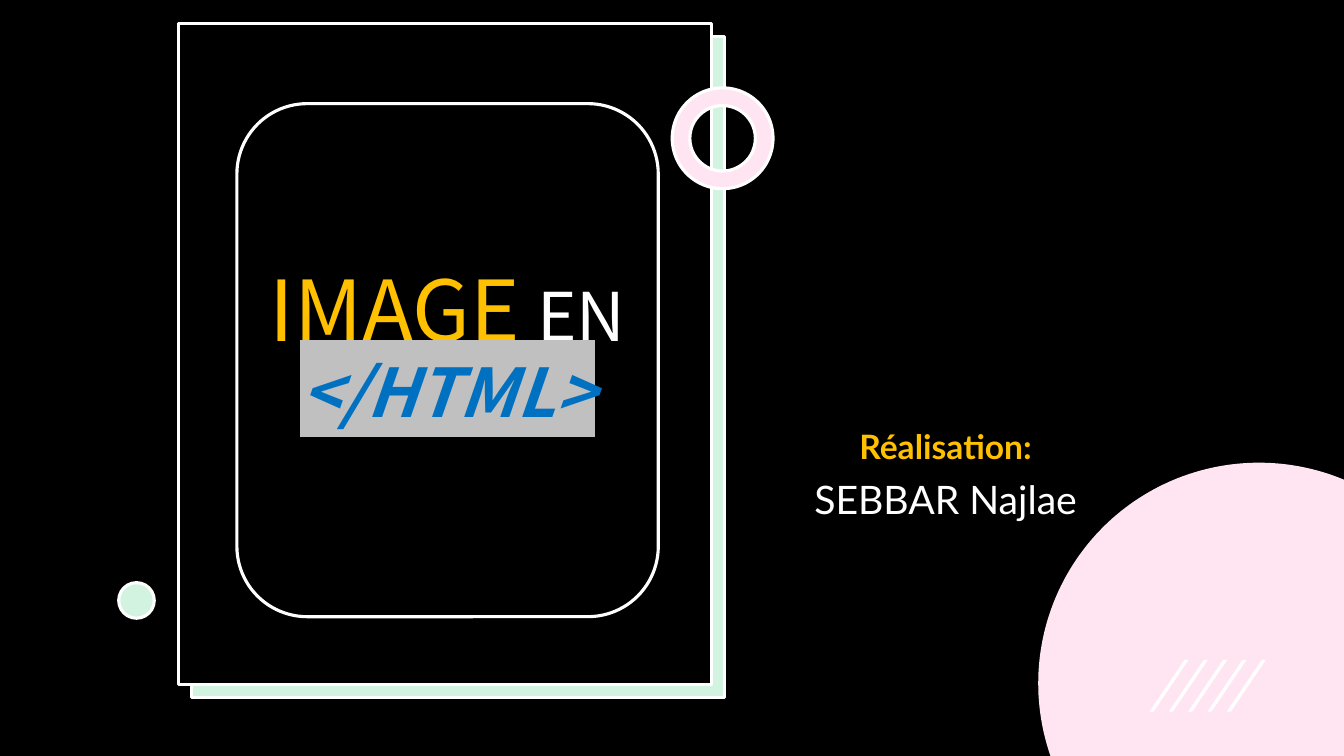
"""Builds the opening slide of a lesson on images in HTML."""
import math
from lxml import etree
from pptx import Presentation, util as u
from pptx.dml.color import RGBColor
from pptx.enum import shapes, text
from pptx.oxml.ns import qn

COLORS = {"black": "000000", "white": "FFFFFF", "mint": "D3F3E1", "pink": "FFE5F1",
          "gold": "FFC000", "blue": "0070C0", "silver": "C0C0C0"}
TITLE_FONT, BODY_FONT = "Noto Sans CJK JP", "Lato"
TITLE = [[("IMAGE", "gold", {"size": 60}),
          (" ", "white", {"size": 54}),
          ("EN", "white", {"size": 48}),
          (" ", "white", {"size": 54}),
          ("</HTML>", "blue", {"size": 48, "bold": True, "italic": True})]]
AUTHOR = [[("Réalisation:", "gold", {"size": 24, "bold": True})],
          [("SEBBAR Najlae", "white", {"size": 28})]]
TITLE_BOX = (169.2, 40.3, 301, 420.5)
AUTHOR_BOX = (542.9, 253.4, 265, 174.2)
BACK_SHAPES = [("RECTANGLE", (136.8, 25.9, 381, 472.3), "mint"),
               ("RECTANGLE", (127.4, 16.6, 381, 472.3), "black")]
FRONT_SHAPES = [("DONUT", (480.2, 62.8, 72, 72), "pink", 0.175),
                ("OVAL", (84.8, 416.2, 25.4, 25.4), "mint"),
                ("ROUNDED_RECTANGLE", (169.2, 74, 301, 366.5), None, 0.167)]
SLIDE_W, SLIDE_H = 960, 540
DISC_X, DISC_Y, DISC_R = 899.3, 488.2, 157.7
STRIPES, STRIPE_X, STRIPE_STEP = 5, 821.1, 13.8
STRIPE_TOP, STRIPE_BOTTOM, STRIPE_W, STRIPE_SHIFT = 471.4, 508.3, 2.9, 25


def rgb(name):
    return RGBColor.from_string(COLORS[name])


def add_outlined(s, kind, box, color, adj=None):
    sp = s.shapes.add_shape(getattr(shapes.MSO_SHAPE, kind), *map(u.Pt, box))
    sp.shadow.inherit = False
    if adj:
        sp.adjustments[0] = adj
    if color:
        sp.fill.solid()
        sp.fill.fore_color.rgb = rgb(color)
    else:
        sp.fill.background()
    sp.line.color.rgb = rgb("white")
    sp.line.width = u.Pt(2.25)


def add_polygon(s, points, color):
    points = [(u.Pt(x), u.Pt(y)) for x, y in points]
    builder = s.shapes.build_freeform(*points[0])
    builder.add_line_segments(points[1:], close=True)
    sp = builder.convert_to_shape()
    sp.shadow.inherit = False
    sp.fill.solid()
    sp.fill.fore_color.rgb = rgb(color)
    sp.line.fill.background()


def write(sp, box, paragraphs, font):
    for name, value in zip(("left", "top", "width", "height"), box):
        setattr(sp, name, u.Pt(value))
    tf = sp.text_frame
    for name, value in {"word_wrap": True, "auto_size": text.MSO_AUTO_SIZE.NONE,
                        "vertical_anchor": text.MSO_ANCHOR.MIDDLE}.items():
        setattr(tf, name, value)
    for i, runs in enumerate(paragraphs):
        p = tf.add_paragraph() if i else tf.paragraphs[0]
        for name, value in {"alignment": text.PP_ALIGN.CENTER, "line_spacing": 0.9,
                            "space_before": u.Pt(10 if i else 0)}.items():
            setattr(p, name, value)
        for words, color, style in runs:
            r = p.add_run()
            r.text = words
            r.font.color.rgb = rgb(color)
            for name, value in {"name": font, **style, "size": u.Pt(style["size"])}.items():
                setattr(r.font, name, value)
    return r


def highlight(r, color):
    mark = etree.Element(qn("a:highlight"))
    etree.SubElement(mark, qn("a:srgbClr"), val=COLORS[color])
    r.font._element.find(qn("a:solidFill")).addnext(mark)


def disc_points(steps=90):
    start = math.pi - math.asin((SLIDE_H - DISC_Y) / DISC_R)
    end = 2 * math.pi - math.acos((SLIDE_W - DISC_X) / DISC_R)
    angles = [start + (end - start) * i / steps for i in range(steps + 1)]
    arc = [(DISC_X + DISC_R * math.cos(a), DISC_Y + DISC_R * math.sin(a)) for a in angles]
    return arc + [(SLIDE_W, SLIDE_H)]


def main():
    prs = Presentation()
    prs.slide_width, prs.slide_height = u.Pt(SLIDE_W), u.Pt(SLIDE_H)
    s = prs.slides.add_slide(prs.slide_layouts[5])
    s.background.fill.solid()
    s.background.fill.fore_color.rgb = rgb("black")

    for item in BACK_SHAPES:
        add_outlined(s, *item)
    title = s.shapes.title
    s.shapes._spTree.append(title._element)
    highlight(write(title, TITLE_BOX, TITLE, TITLE_FONT), "silver")

    add_polygon(s, disc_points(), "pink")
    for i in range(STRIPES):
        x = STRIPE_X + i * STRIPE_STEP
        top = x + STRIPE_SHIFT
        add_polygon(s, [(x + STRIPE_W, STRIPE_BOTTOM), (x, STRIPE_BOTTOM),
                        (top, STRIPE_TOP), (top + STRIPE_W, STRIPE_TOP)], "white")

    author = s.shapes.add_textbox(*map(u.Pt, AUTHOR_BOX))
    write(author, AUTHOR_BOX, AUTHOR, BODY_FONT)
    for item in FRONT_SHAPES:
        add_outlined(s, *item)
    prs.save("out.pptx")


if __name__ == "__main__":
    main()
